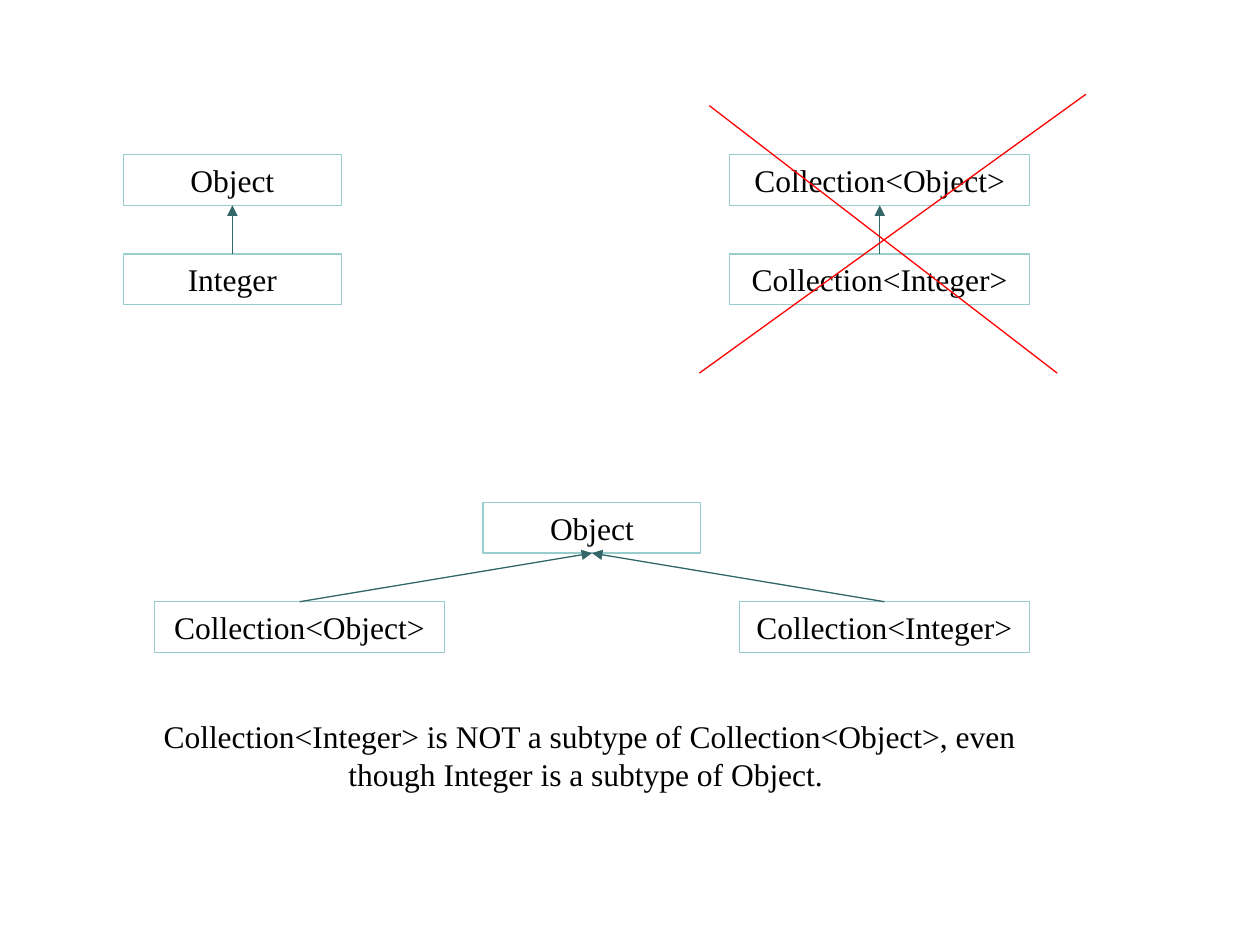
import pptx
import pptx.util
import pptx.dml.color
import pptx.enum.shapes
import pptx.enum.text
import pptx.oxml
import pptx.oxml.ns
from pptx.util import Cm

COLORS = {"border": "99CCCC", "arrow": "336666", "cross": "FF0000", "text": "000000"}
FONT = {"name": "Times New Roman", "size": pptx.util.Pt(18)}
FRAME = {"word_wrap": True, "vertical_anchor": pptx.enum.text.MSO_ANCHOR.TOP}
BOX_HEIGHT = 1.02
ROW_STEP = 2.0
TOP, BOTTOM = 0, 2


def color(name):
    return pptx.dml.color.RGBColor.from_string(COLORS[name])


def write_text(shape, text):
    frame = shape.text_frame
    for key, value in FRAME.items():
        setattr(frame, key, value)
    para = frame.paragraphs[0]
    para.alignment = pptx.enum.text.PP_ALIGN.CENTER
    span = para.add_run()
    span.text = text
    for key, value in FONT.items():
        setattr(span.font, key, value)
    span.font.color.rgb = color("text")


def add_type_box(page, text, left, top, width):
    box = page.shapes.add_shape(pptx.enum.shapes.MSO_SHAPE.RECTANGLE,
                                Cm(left), Cm(top), Cm(width), Cm(BOX_HEIGHT))
    box.shadow.inherit = False
    box.fill.background()
    box.line.color.rgb = color("border")
    box.line.width = pptx.util.Pt(0.75)
    write_text(box, text)
    return box


def add_line(page, start, end, color_name):
    line = page.shapes.add_connector(pptx.enum.shapes.MSO_CONNECTOR.STRAIGHT,
                                     *(Cm(value) for value in start + end))
    line.line.color.rgb = color(color_name)
    line.line.width = pptx.util.Pt(0.75)
    pptx.oxml.ns.qn("a:effectLst")
    line._element.spPr.append(pptx.oxml.parse_xml(
        f"<a:effectLst {pptx.oxml.ns.nsdecls('a')}/>"))
    return line


def add_subtype_arrow(page, child, parent):
    arrow = add_line(page, (0, 0), (0, 0), "arrow")
    arrow.begin_connect(child, TOP)
    arrow.end_connect(parent, BOTTOM)
    arrow.line._get_or_add_ln().append(pptx.oxml.parse_xml(
        f"<a:tailEnd {pptx.oxml.ns.nsdecls('a')} type='triangle'/>"))


def add_type_pair(page, parent_text, child_text, left, top, width):
    """A type with its subtype straight below it."""
    parent = add_type_box(page, parent_text, left, top, width)
    child = add_type_box(page, child_text, left, top + ROW_STEP, width)
    add_subtype_arrow(page, child, parent)


def add_cross(page, left, top):
    """Two strokes that reject the pair whose corner is given."""
    strokes = [((-0.41, -0.99), (6.6, 4.4)), ((-0.61, 4.4), (7.18, -1.22))]
    for start, end in strokes:
        add_line(page, (left + start[0], top + start[1]),
                 (left + end[0], top + end[1]), "cross")


def add_type_tree(page, left, top, width):
    """One parent centred above two children at the outer edges."""
    parent_width, child_width = 4.39, 5.84
    parent = add_type_box(page, "Object", left + (width - parent_width) / 2,
                          top, parent_width)
    children = [("Collection<Object>", left),
                ("Collection<Integer>", left + width - child_width)]
    for text, child_left in children:
        child = add_type_box(page, text, child_left, top + ROW_STEP, child_width)
        add_subtype_arrow(page, child, parent)


def add_conclusion(page, left, top, width, height):
    box = page.shapes.add_textbox(Cm(left), Cm(top), Cm(width), Cm(height))
    write_text(box, "Collection<Integer> is NOT a subtype of Collection<Object>, "
                    "even though Integer is a subtype of Object. ")


def main():
    deck = pptx.Presentation()
    deck.slide_width, deck.slide_height = Cm(25.4), Cm(19.05)
    page = deck.slides.add_slide(deck.slide_layouts[6])

    # Valid subtype on the left, rejected one on the right
    add_type_pair(page, "Object", "Integer", 2.49, 3.12, 4.39)
    add_type_pair(page, "Collection<Object>", "Collection<Integer>", 14.71, 3.12, 6.05)
    add_cross(page, 14.71, 3.12)

    # Actual hierarchy and the rule
    add_type_tree(page, 3.12, 10.13, 17.63)
    add_conclusion(page, 2.49, 14.33, 18.8, 1.8)

    deck.save("out.pptx")


if __name__ == "__main__":
    main()
